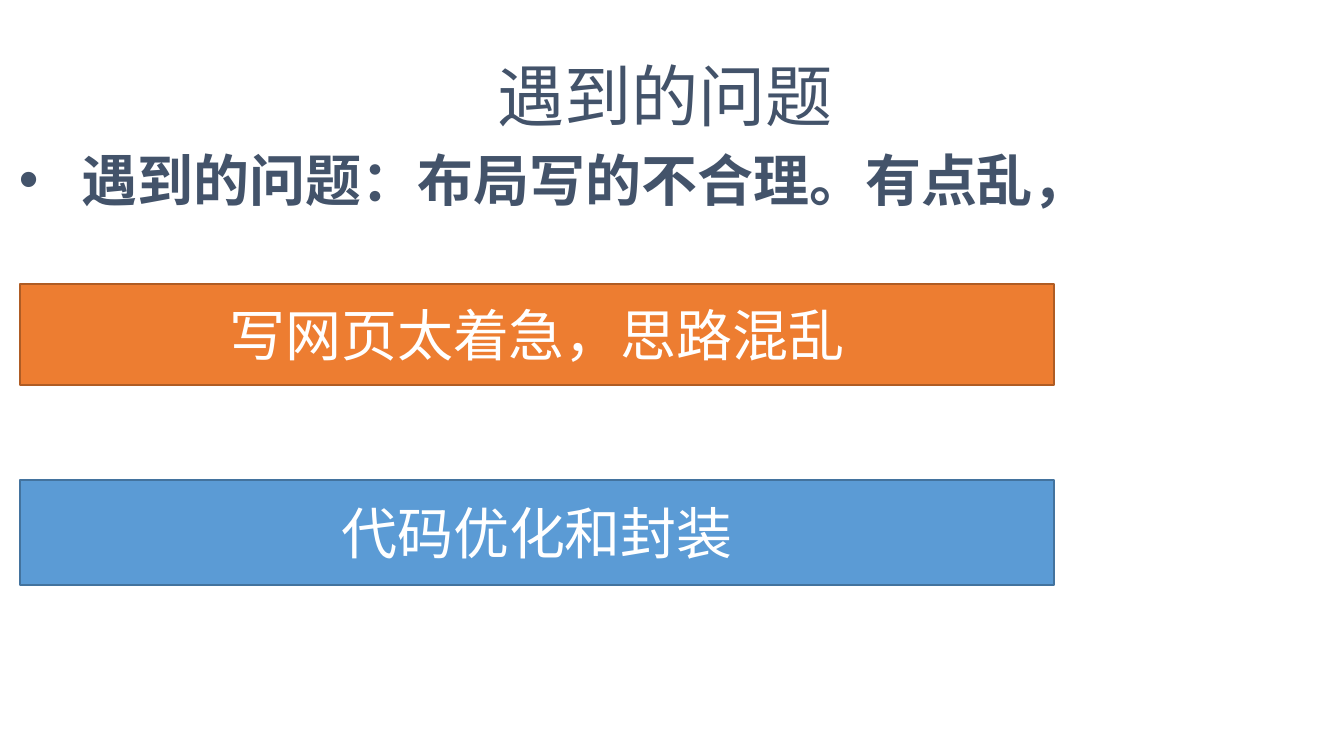
from lxml import etree
from pptx import Presentation
from pptx.dml.color import RGBColor
from pptx.enum.shapes import MSO_SHAPE
from pptx.enum.text import MSO_ANCHOR, PP_ALIGN
from pptx.oxml.ns import qn
from pptx.util import Pt

PX = 914400 / 100.8
CENTER = PP_ALIGN.CENTER
MIDDLE = MSO_ANCHOR.MIDDLE
RECTANGLE = MSO_SHAPE.RECTANGLE
PROCESS = MSO_SHAPE.FLOWCHART_PROCESS
TITLE_ONLY = 5

SLATE = RGBColor(0x43, 0x53, 0x6A)
WHITE = RGBColor(0xFF, 0xFF, 0xFF)
ORANGE = RGBColor(0xED, 0x7D, 0x31)
DARK_ORANGE = RGBColor(0xAF, 0x5C, 0x24)
BLUE = RGBColor(0x5B, 0x9B, 0xD5)
DARK_BLUE = RGBColor(0x43, 0x73, 0x9E)
CHINESE_FONT = "Noto Sans CJK SC"


def px(*lengths):
    return [round(length * PX) for length in lengths]


def style_text(paragraph, font_name, size, color, bold=False):
    """Format every run, using the Chinese font for East Asian characters."""
    for span in paragraph.runs:
        font = span.font
        font.name, font.size, font.bold = font_name, Pt(size), bold
        font.color.rgb = color
        latin = font._element.find(qn("a:latin"))
        east_asian = etree.Element(qn("a:ea"), typeface=CHINESE_FONT)
        latin.addnext(east_asian)


deck = Presentation()
deck.slide_width, deck.slide_height = px(1344, 756)
page = deck.slides.add_slide(deck.slide_layouts[TITLE_ONLY])

title = page.shapes.title
title.left, title.top, title.width, title.height = px(487, 49, 356, 92)
title.text_frame.text = "遇到的问题"
title.text_frame.word_wrap = False
title.text_frame.margin_left = title.text_frame.margin_right = 0
title.text_frame.vertical_anchor = MIDDLE
heading = title.text_frame.paragraphs[0]
heading.alignment = CENTER
style_text(heading, CHINESE_FONT, 48, SLATE)

problem_box = page.shapes.add_textbox(*px(9, 141, 1311, 78))
problem_box.text_frame.word_wrap = True
problem = problem_box.text_frame.paragraphs[0]
problem.text = "遇到的问题：布局写的不合理。有点乱，"
indent = px(63)[0]
properties = problem._p.get_or_add_pPr()
properties.set("marL", str(indent))
properties.set("indent", str(-indent))
etree.SubElement(properties, qn("a:buFont"), typeface="Arial")
etree.SubElement(properties, qn("a:buChar"), char="•")
style_text(problem, "Arial", 40, SLATE, bold=True)

banners = [
    ("写网页太着急，思路混乱", RECTANGLE, 284, 101, ORANGE, DARK_ORANGE),
    ("代码优化和封装", PROCESS, 480, 105, BLUE, DARK_BLUE),
]
for label, outline, top, height, fill, edge in banners:
    banner = page.shapes.add_shape(outline, *px(20, top, 1034, height))
    banner.shadow.inherit = False
    banner.fill.solid()
    banner.fill.fore_color.rgb = fill
    banner.line.color.rgb = edge
    banner.line.width = Pt(1)
    banner.text_frame.text = label
    banner.text_frame.word_wrap = True
    banner.text_frame.vertical_anchor = MIDDLE
    caption = banner.text_frame.paragraphs[0]
    caption.alignment = CENTER
    style_text(caption, "Calibri", 40, WHITE)

deck.save("out.pptx")
